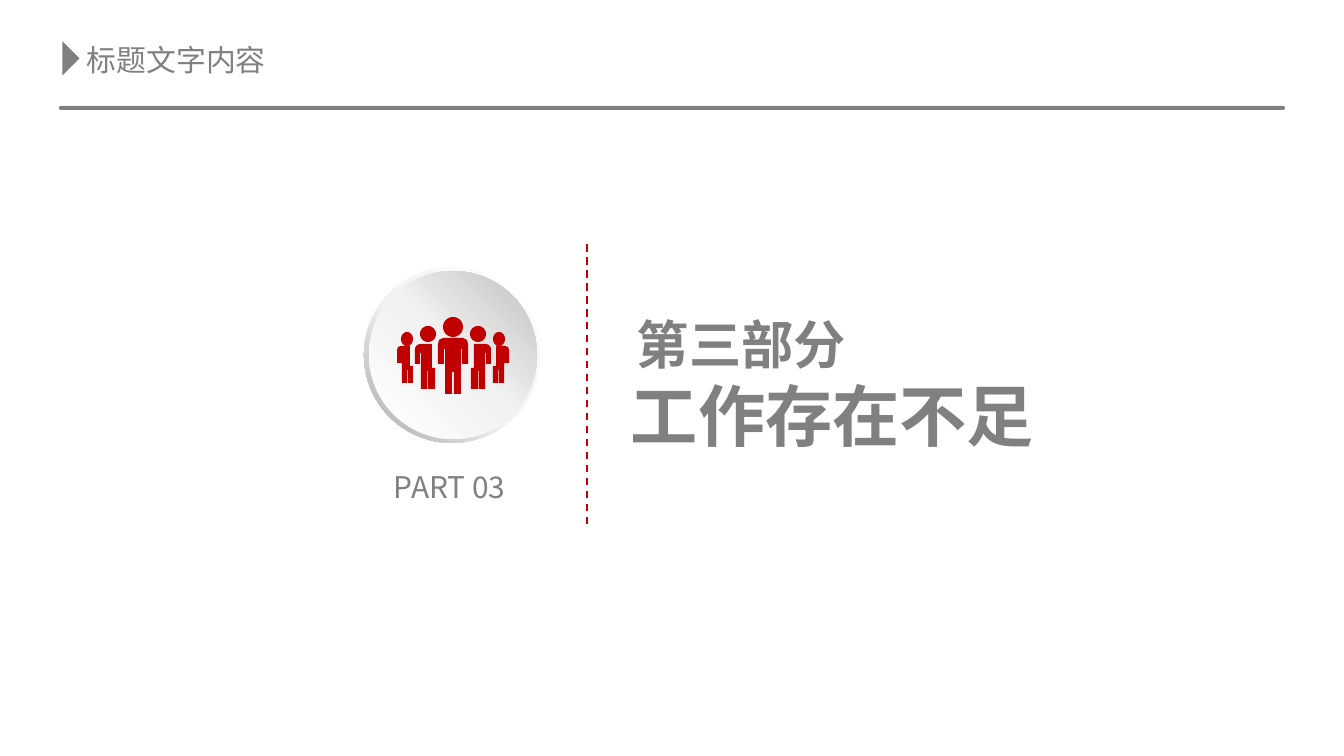
from math import cos, pi, sin

from lxml import etree
from pptx import Presentation
from pptx.dml.color import RGBColor
from pptx.enum.dml import MSO_LINE
from pptx.enum.shapes import MSO_CONNECTOR, MSO_SHAPE
from pptx.oxml.ns import qn
from pptx.util import Emu, Pt

DASH = MSO_LINE.DASH
STRAIGHT = MSO_CONNECTOR.STRAIGHT
TRIANGLE, ROUNDED = MSO_SHAPE.ISOSCELES_TRIANGLE, MSO_SHAPE.ROUNDED_RECTANGLE
DONUT, OVAL = MSO_SHAPE.DONUT, MSO_SHAPE.OVAL

PX = 914400 / 134.4
FONT, GRAY, RED = "Noto Sans CJK SC", "808080", "C00000"

# Content: text lines are (text, size, bold, indent)
HEADER = [("标题文字内容", 16, False, 0)]
TITLE = [("第三部分", 28, True, 6), ("工作存在不足", 36, True, 0)]
PART = [("PART 03", 16, False, 0)]

# Badge: (preset, box, adjustment, gradient stops, clockwise angle)
BADGE = [
    (DONUT, (364, 267, 176, 176), 0.05,
     [(0, "FFFFFF"), (55, "F2F2F2"), (100, "A6A6A6")], 135),
    (OVAL, (369, 271, 168, 168), None,
     [(0, "FFFFFF"), (51, "F2F2F2"), (100, "BFBFBF")], 315),
]

# Team icon: x is the distance from its axis
AXIS = 453
LEADER = [(1, 372), (1, 394), (8, 394), (8, 349), (9, 349), (9, 364),
          (15, 364), (15, 344), (14, 340), (10, 338)]
MEMBERS = [
    [(18, 368), (18, 389), (25, 389), (25, 371), (26, 371), (26, 389),
     (32, 389), (32, 353), (33, 353), (33, 364), (38, 364), (38, 348),
     (36, 345), (33, 344), (21, 344), (21, 368)],
    [(40, 366), (40, 383), (45, 383), (45, 370), (46, 370), (46, 383),
     (51, 383), (51, 363), (56, 363), (56, 350), (55, 347), (52, 346),
     (43, 346), (43, 366)],
]
LEADER_HEAD = (0, 327, 10, 10)
MEMBER_HEADS = [(25, 334, 8, 8), (46, 339, 6, 7)]


def px(value):
    return Emu(round(value * PX))


def color(value):
    return RGBColor.from_string(value)


def add_text(lines, box, inset=(0, 0), wrap=True):
    frame = page.shapes.add_textbox(*map(px, box)).text_frame
    frame.word_wrap = wrap
    frame.margin_left = frame.margin_right = px(inset[0])
    frame.margin_top = frame.margin_bottom = px(inset[1])
    for number, (text, size, bold, indent) in enumerate(lines):
        para = frame.add_paragraph() if number else frame.paragraphs[0]
        if indent:
            para._p.get_or_add_pPr().set("marL", str(px(indent)))
        span = para.add_run()
        span.text = text
        font = span.font
        font.size, font.bold, font.name = Pt(size), bold, FONT
        font.color.rgb = color(GRAY)
        etree.SubElement(span._r.rPr, qn("a:ea")).set("typeface", FONT)


def paint(shape, fill):
    shape.shadow.inherit = False
    shape.line.fill.background()
    shape.fill.solid()
    shape.fill.fore_color.rgb = color(fill)


def add_shape(preset, box, adjustment=None):
    shape = page.shapes.add_shape(preset, *map(px, box))
    if adjustment is not None:
        shape.adjustments[0] = adjustment
    paint(shape, GRAY)
    return shape


def paint_gradient(shape, stops, angle):
    shape.fill.gradient()
    shape.fill.gradient_angle = 360 - angle
    stop_list = shape._element.spPr.find(".//" + qn("a:gsLst"))
    for stop in list(stop_list):
        stop_list.remove(stop)
    for position, value in stops:
        stop = etree.SubElement(stop_list, qn("a:gs"), pos=str(position * 1000))
        etree.SubElement(stop, qn("a:srgbClr"), val=value)


def mirror(points):
    return [(-x, y) for x, y in reversed(points)]


def head(x, y, width, height, steps=32):
    angles = [2 * pi * step / steps for step in range(steps)]
    return [(x + width * cos(a), y + height * sin(a)) for a in angles]


def add_icon(outlines):
    builder = None
    for outline in outlines:
        points = [(px(AXIS + x), px(y)) for x, y in outline]
        if builder is None:
            builder = page.shapes.build_freeform(*points[0], scale=1.0)
        else:
            builder.move_to(*points[0])
        builder.add_line_segments(points[1:], close=True)
    paint(builder.convert_to_shape(), RED)


deck = Presentation()
deck.slide_width, deck.slide_height = px(1344), px(756)
page = deck.slides.add_slide(deck.slide_layouts[6])

# Header
add_text(HEADER, (74, 35, 223, 50), inset=(13, 7), wrap=False)
add_shape(TRIANGLE, (54, 50, 34, 17)).rotation = 90
add_shape(ROUNDED, (59, 106, 1226, 4), 0.5)

# Section title and divider
add_text(TITLE, (618, 305, 460, 159), inset=(13, 7))
divider = page.shapes.add_connector(STRAIGHT, px(587), px(524), px(587), px(241))
divider.line.color.rgb = color(RED)
divider.line.width = Pt(1)
divider.line.dash_style = DASH
etree.SubElement(divider._element.spPr, qn("a:effectLst"))

# Badge with team icon
add_text(PART, (394, 469, 133, 36))
for preset, box, adjustment, stops, angle in BADGE:
    paint_gradient(add_shape(preset, box, adjustment), stops, angle)
side = MEMBERS + [head(*spot) for spot in MEMBER_HEADS]
add_icon([LEADER + mirror(LEADER), head(*LEADER_HEAD)]
         + side + [mirror(outline) for outline in side])

deck.save("out.pptx")
